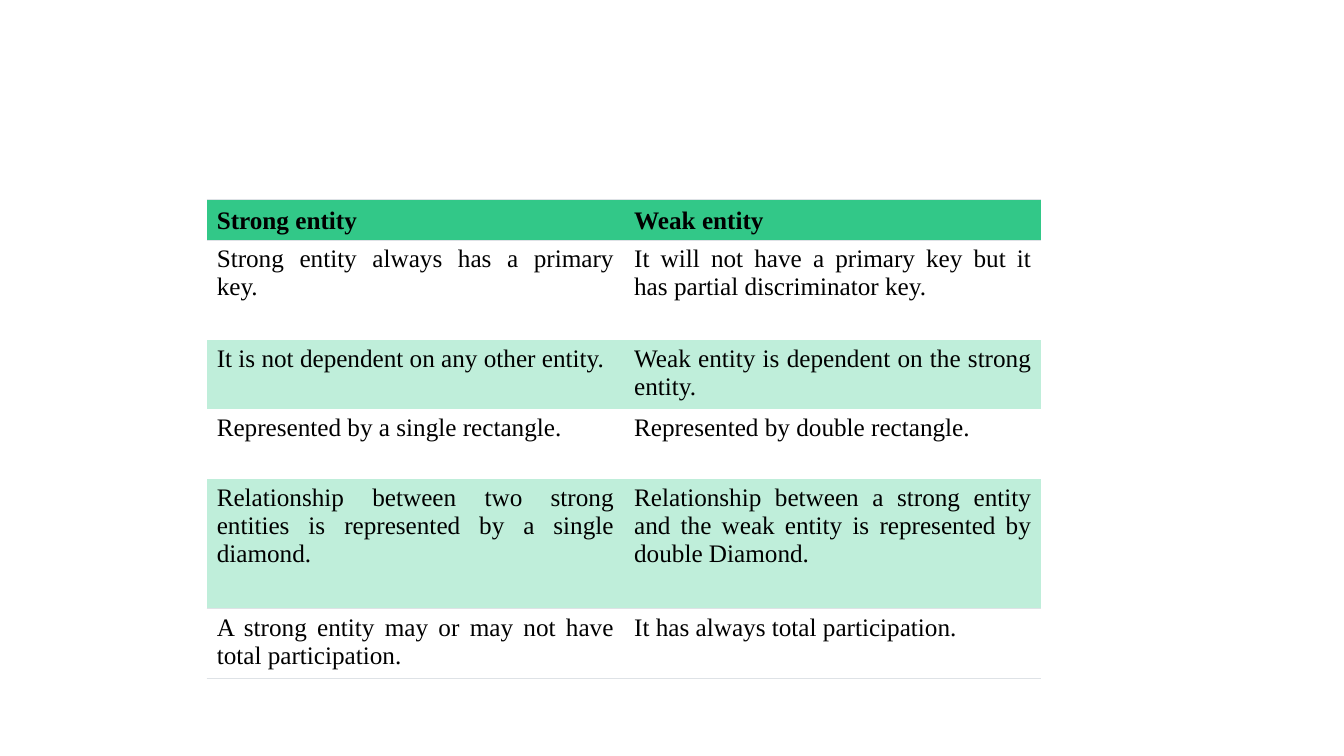
import pptx
import pptx.dml.color
import pptx.enum.text
import pptx.oxml
import pptx.oxml.ns
import pptx.util
from pptx.util import Inches

COLORS = {
    "header": "32C888",
    "plain": "FFFFFF",
    "band": "BFEEDA",
    "text": "000000",
    "border": "DEE2E6",
}
FONT = {"name": "Times New Roman", "size": pptx.util.Pt(18)}
MARGINS = {
    "margin_left": Inches(0.1),
    "margin_right": Inches(0.1),
    "margin_top": Inches(0.05),
    "margin_bottom": Inches(0.05),
}
NO_STYLE = "{2D5ABB26-0587-4C30-8999-92F81FD0307C}"
ROW_HEIGHTS = [0.4, 0.99, 0.69, 0.69, 1.29, 0.69]
ENTITY_ROWS = [
    ("Strong entity", "Weak entity"),
    ("Strong entity always has a primary key.",
     "It will not have a primary key but it has partial discriminator key."),
    ("It is not dependent on any other entity.",
     "Weak entity is dependent on the strong entity."),
    ("Represented by a single rectangle.", "Represented by double rectangle."),
    ("Relationship between two strong entities is represented by a single diamond.",
     "Relationship between a strong entity and the weak entity is represented by double Diamond."),
    ("A strong entity may or may not have total participation.",
     "It has always total participation."),
]


def rgb(name):
    return pptx.dml.color.RGBColor.from_string(COLORS[name])


def add_horizontal_borders(cell):
    """Draw thin lines on the top and bottom edges of the cell."""
    properties = cell._tc.get_or_add_tcPr()
    for position, tag in enumerate(("lnT", "lnB")):
        line = pptx.oxml.parse_xml(
            f'<a:{tag} {pptx.oxml.ns.nsdecls("a")} w="{pptx.util.Pt(0.6)}">'
            f'<a:solidFill><a:srgbClr val="{COLORS["border"]}"/></a:solidFill>'
            f'</a:{tag}>')
        properties.insert(position, line)


def fill_cell(cell, text, fill, is_header):
    for name, value in MARGINS.items():
        setattr(cell, name, value)
    anchors = pptx.enum.text.MSO_ANCHOR
    cell.vertical_anchor = anchors.BOTTOM if is_header else anchors.TOP
    cell.fill.solid()
    cell.fill.fore_color.rgb = rgb(fill)
    para = cell.text_frame.paragraphs[0]
    para.alignment = pptx.enum.text.PP_ALIGN.JUSTIFY
    span = para.add_run()
    span.text = text
    for name, value in FONT.items():
        setattr(span.font, name, value)
    span.font.bold = is_header
    span.font.color.rgb = rgb("text")


def add_entity_table(page, left, top, width):
    frame = page.shapes.add_table(
        len(ENTITY_ROWS), 2, Inches(left), Inches(top),
        Inches(width), Inches(sum(ROW_HEIGHTS)))
    table = frame.table
    table.first_row = table.horz_banding = False
    table._tbl.tblPr.find(pptx.oxml.ns.qn("a:tableStyleId")).text = NO_STYLE
    for column in table.columns:
        column.width = Inches(width / 2)
    last = len(ENTITY_ROWS) - 1
    for index, texts in enumerate(ENTITY_ROWS):
        table.rows[index].height = Inches(ROW_HEIGHTS[index])
        is_header = index == 0
        fill = "header" if is_header else ("plain" if index % 2 else "band")
        for cell, text in zip(table.rows[index].cells, texts):
            fill_cell(cell, text, fill, is_header)
            if index in (0, last):
                add_horizontal_borders(cell)


def main():
    deck = pptx.Presentation()
    deck.slide_width, deck.slide_height = Inches(13.33), Inches(7.5)
    page = deck.slides.add_slide(deck.slide_layouts[6])
    add_entity_table(page, 2.05, 1.98, 8.28)
    deck.save("out.pptx")


if __name__ == "__main__":
    main()
